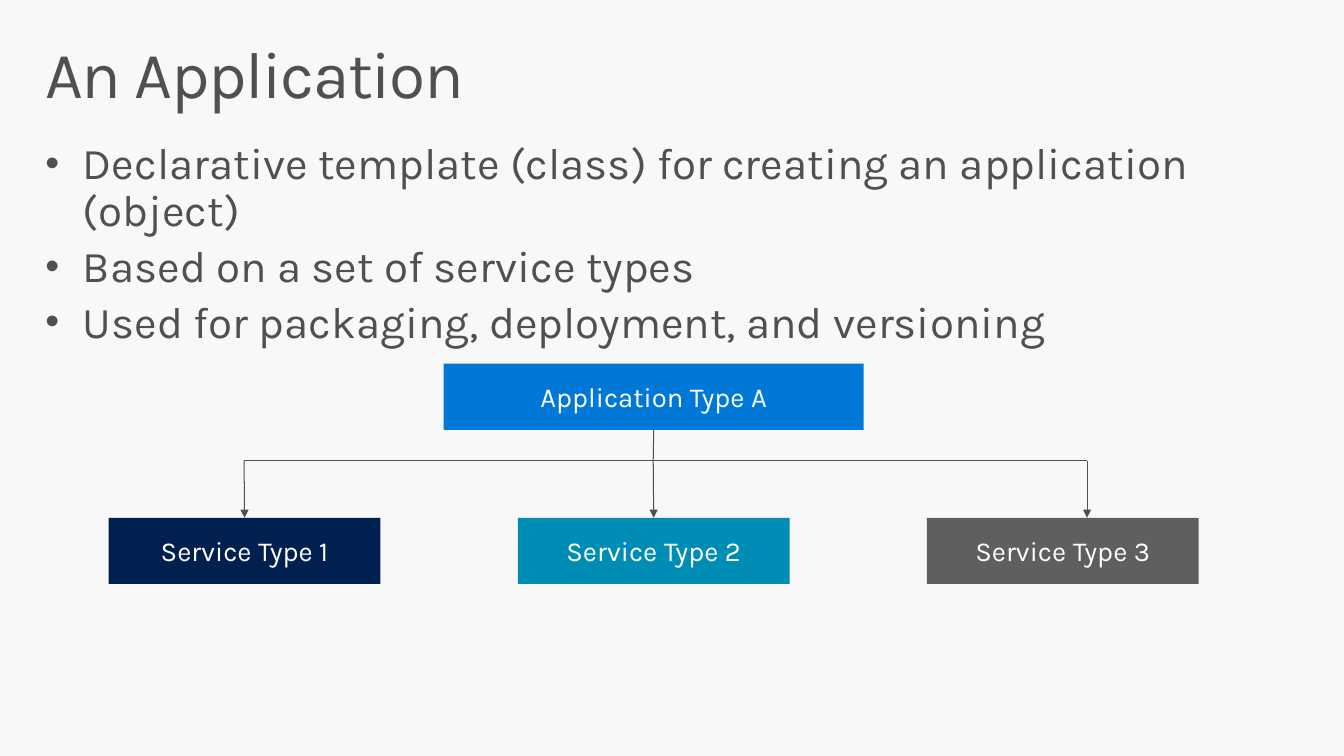
from dataclasses import dataclass

from lxml.etree import SubElement
from pptx import Presentation
from pptx.dml.color import RGBColor
from pptx.enum.shapes import MSO_CONNECTOR, MSO_SHAPE
from pptx.enum.text import MSO_ANCHOR, MSO_AUTO_SIZE, PP_ALIGN
from pptx.oxml.ns import qn
from pptx.util import Inches, Pt


@dataclass(frozen=True)
class Theme:
    """Fonts, type sizes and colours of the slide."""
    font: str = "Karla"
    title_size: int = 48
    body_size: int = 32
    box_size: int = 20
    background: str = "F8F8F8"
    ink: str = "505050"
    box_text: str = "FFFFFF"
    application: str = "0078D7"
    services: tuple = ("002050", "008DB5", "5F5F5F")


class SlideBuilder:
    """Adds styled elements to one slide."""

    def __init__(self, slide, theme):
        """Keep the slide and theme, and paint the background."""
        self.slide = slide
        self.theme = theme
        fill = slide.background.fill
        fill.solid()
        fill.fore_color.rgb = RGBColor.from_string(theme.background)

    def style(self, paragraph, size, color):
        """Set the font of a whole paragraph."""
        font = paragraph.font
        font.name = self.theme.font
        font.size = Pt(size)
        font.color.rgb = RGBColor.from_string(color)

    def text_frame(self, top, height):
        """Add a full-width text box and return its text frame."""
        shape = self.slide.shapes.add_textbox(
            Inches(0.3), Inches(top), Inches(13), Inches(height))
        frame = shape.text_frame
        frame.word_wrap = True
        frame.margin_left = frame.margin_right = Inches(0.16)
        frame.margin_top = frame.margin_bottom = Inches(0.1)
        return frame

    def title(self, text):
        """Add the slide title."""
        paragraph = self.text_frame(0.32, 1).paragraphs[0]
        run = paragraph.add_run()
        run.text = text
        run._r.get_or_add_rPr().set("spc", "-100")
        paragraph.line_spacing = 0.9
        self.style(paragraph, self.theme.title_size, self.theme.ink)

    def bullets(self, items):
        """Add the bulleted list."""
        frame = self.text_frame(1.33, 1.87)
        frame.auto_size = MSO_AUTO_SIZE.SHAPE_TO_FIT_TEXT
        frame.text = "\n".join(items)
        for paragraph in frame.paragraphs:
            properties = paragraph._p.get_or_add_pPr()
            properties.set("marL", str(Inches(0.38)))
            properties.set("indent", str(-Inches(0.38)))
            SubElement(properties, qn("a:buSzPct"), val="90000")
            SubElement(properties, qn("a:buFont"), typeface="Arial")
            SubElement(properties, qn("a:buChar"), char="•")
            paragraph.line_spacing = 0.9
            paragraph.space_before = Pt(6)
            self.style(paragraph, self.theme.body_size, self.theme.ink)

    def box(self, text, left, top, width, color):
        """Add a filled, labelled rectangle."""
        shape = self.slide.shapes.add_shape(
            MSO_SHAPE.RECTANGLE, Inches(left), Inches(top), Inches(width), Inches(0.67))
        shape.shadow.inherit = False
        shape.fill.solid()
        shape.fill.fore_color.rgb = RGBColor.from_string(color)
        shape.line.fill.background()
        frame = shape.text_frame
        frame.margin_left = frame.margin_right = 0
        frame.vertical_anchor = MSO_ANCHOR.MIDDLE
        frame.text = text
        paragraph = frame.paragraphs[0]
        paragraph.alignment = PP_ALIGN.CENTER
        self.style(paragraph, self.theme.box_size, self.theme.box_text)
        return shape

    def line(self, start, end, arrow=False):
        """Add a thin straight connector, with an arrowhead if asked."""
        connector = self.slide.shapes.add_connector(
            MSO_CONNECTOR.STRAIGHT, *(Inches(value) for value in start + end))
        connector.line.width = Pt(0.75)
        connector.line.color.rgb = RGBColor.from_string(self.theme.ink)
        if arrow:
            SubElement(connector.line._get_or_add_ln(), qn("a:tailEnd"), type="triangle")
        SubElement(connector._element.spPr, qn("a:effectLst"))
        return connector


def main():
    """Build and save the slide."""
    presentation = Presentation()
    presentation.slide_width = Inches(13.6)
    presentation.slide_height = Inches(7.65)
    slide = presentation.slides.add_slide(presentation.slide_layouts[6])
    theme = Theme()
    builder = SlideBuilder(slide, theme)

    builder.title("An Application")
    builder.bullets([
        "Declarative template (class) for creating an application (object)",
        "Based on a set of service types",
        "Used for packaging, deployment, and versioning",
    ])

    application = builder.box("Application Type A", 4.49, 3.68, 4.25, theme.application)
    service_top = 5.24
    services = [
        builder.box(f"Service Type {index + 1}", 1.1 + 4.14 * index, service_top, 2.75, color)
        for index, color in enumerate(theme.services)
    ]

    rail = 4.66
    left, middle, right = arrow_positions = (2.47, 6.61, 11)
    builder.line((left, rail), (right, rail))
    trunk = builder.line((middle, 4.35), (middle, rail))
    trunk.begin_connect(application, 2)
    arrows = [builder.line((x, rail), (x, service_top), arrow=True) for x in arrow_positions]
    for arrow, service in zip(arrows[:2], services):
        arrow.end_connect(service, 0)

    presentation.save("out.pptx")


if __name__ == "__main__":
    main()
